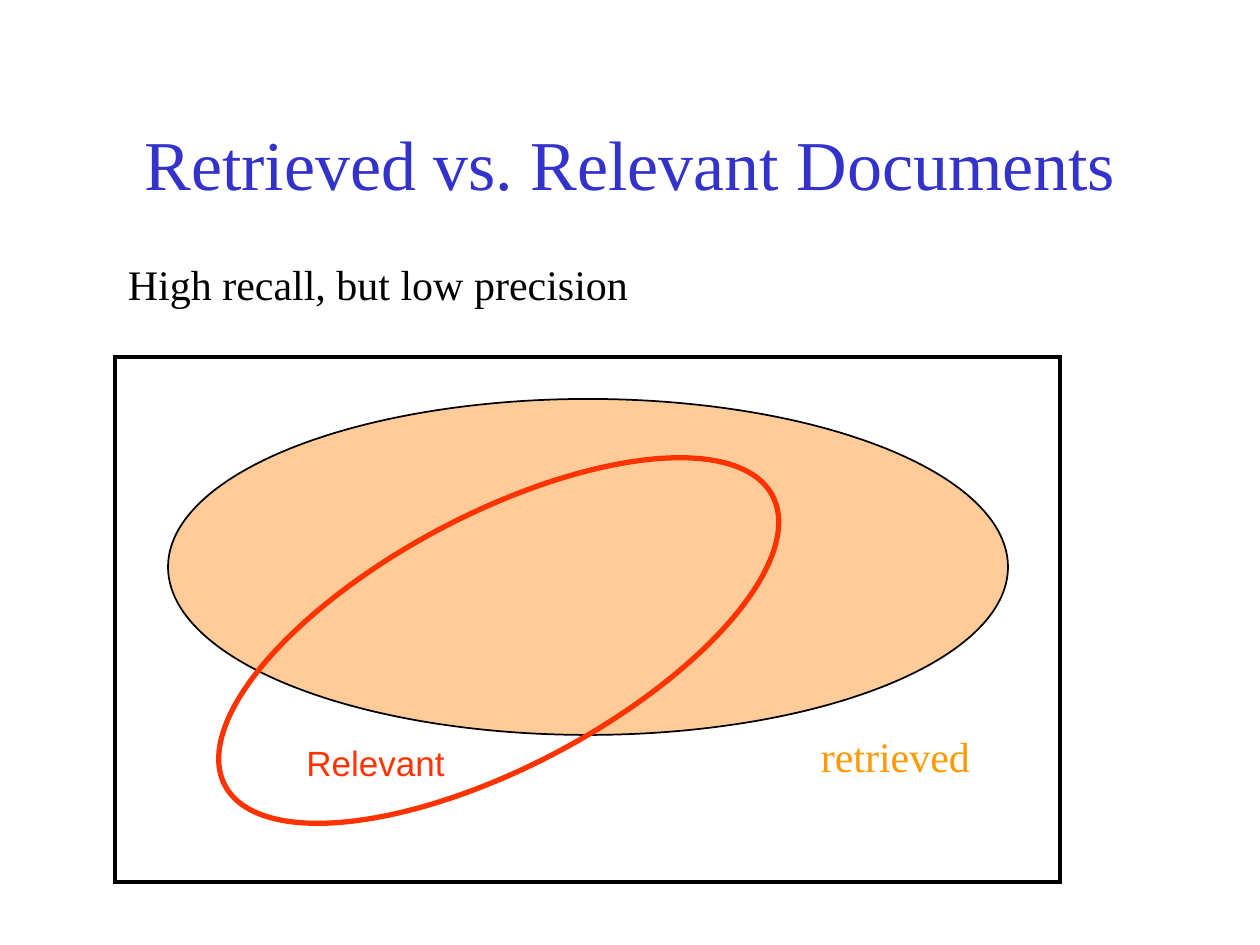
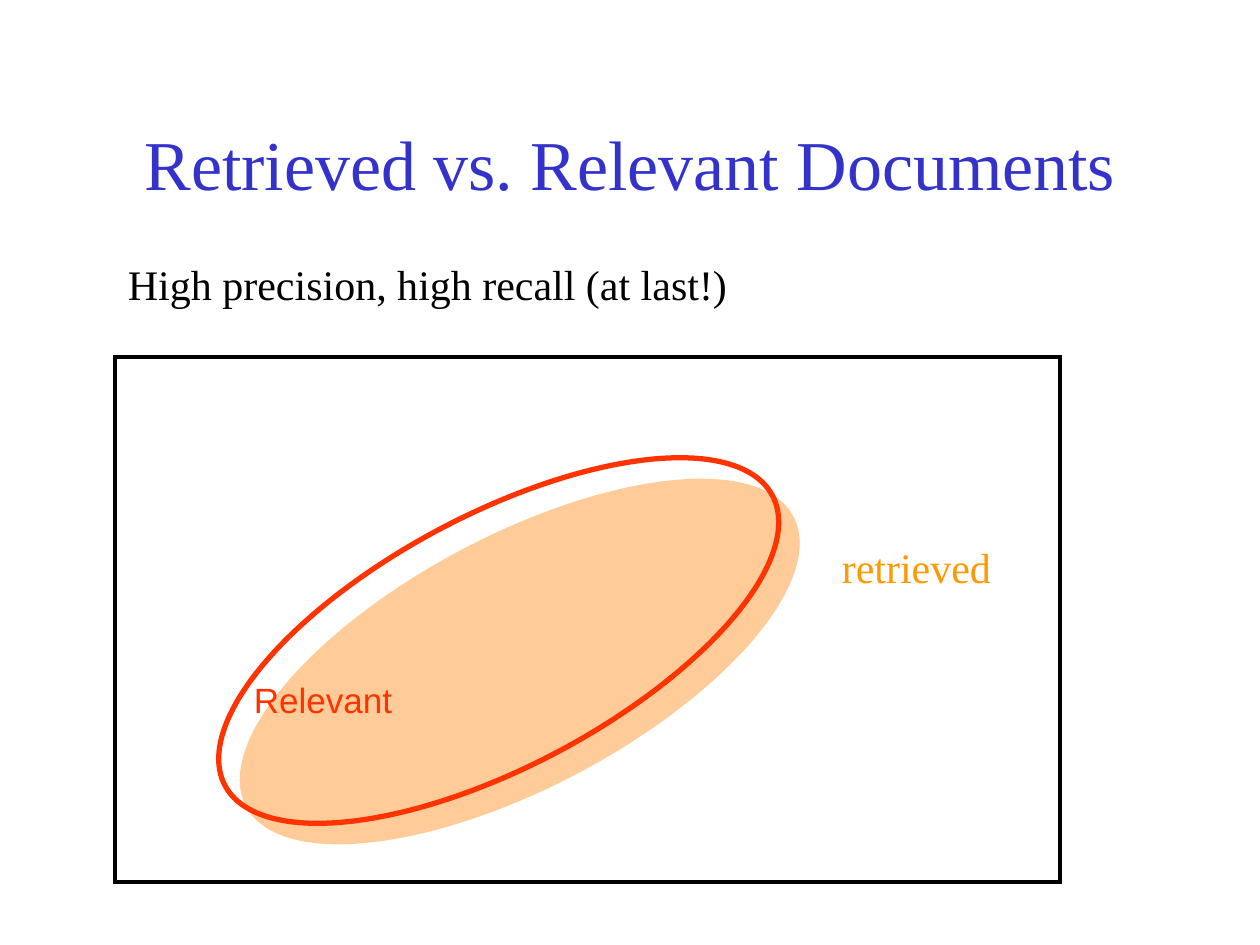
from dataclasses import dataclass
from typing import Optional

from lxml import etree
from pptx import Presentation
from pptx import util as u
from pptx.dml.color import RGBColor
from pptx.enum import shapes, text
from pptx.oxml import ns

# Colours and fonts
BLUE = RGBColor(0x33, 0x33, 0xCC)
BLACK = RGBColor(0x00, 0x00, 0x00)
RED = RGBColor(0xFF, 0x33, 0x00)
ORANGE = RGBColor(0xFF, 0x99, 0x00)
PEACH = RGBColor(0xFF, 0xCC, 0x99)
SERIF = "Times New Roman"
SANS = "Arial"


@dataclass(frozen=True)
class Box:
    left: float
    top: float
    width: float
    height: float

    def lengths(self) -> list[u.Pt]:
        return [u.Pt(n) for n in (self.left, self.top, self.width, self.height)]


@dataclass(frozen=True)
class Outline:
    kind: shapes.MSO_SHAPE
    box: Box
    fill: Optional[RGBColor] = None
    line: Optional[RGBColor] = None
    weight: float = 0
    rotation: float = 0


@dataclass(frozen=True)
class TextStyle:
    font: str
    size: float
    color: RGBColor


@dataclass(frozen=True)
class Example:
    caption: str
    caption_width: float
    retrieved: Outline
    relevant_label: Box
    retrieved_label: Box


# Parts shared by both slides
TITLE = "Retrieved vs. Relevant Documents"
TITLE_BOX = Box(54, 48, 612, 90)
TITLE_STYLE = TextStyle(SERIF, 40, BLUE)
CAPTION_STYLE = TextStyle(SERIF, 24, BLACK)
RELEVANT_STYLE = TextStyle(SANS, 20, RED)
RETRIEVED_STYLE = TextStyle(SERIF, 24, ORANGE)
OVAL = shapes.MSO_SHAPE.OVAL
TILT = 332.1
COLLECTION = Outline(shapes.MSO_SHAPE.RECTANGLE, Box(66, 204, 540, 300),
                     line=BLACK, weight=2.25)
RELEVANT = Outline(OVAL, Box(108, 294, 354, 144), line=RED, weight=3, rotation=TILT)

EXAMPLES = [
    Example("High recall, but low precision", 302,
            Outline(OVAL, Box(96, 228, 480, 192), PEACH, BLACK, 1),
            Box(168, 420, 95, 31.5), Box(462, 414, 102, 36)),
    Example("High precision, high recall (at last!)", 359,
            Outline(OVAL, Box(120, 306, 354, 144), PEACH, rotation=TILT),
            Box(138, 384, 95, 31.5), Box(474, 306, 102, 36)),
]


def add_outline(slide, outline: Outline) -> None:
    shape = slide.shapes.add_shape(outline.kind, *outline.box.lengths())
    shape.shadow.inherit = False
    shape.rotation = outline.rotation
    for part, color in ((shape.fill, outline.fill), (shape.line.fill, outline.line)):
        if color is None:
            part.background()
        else:
            part.solid()
            part.fore_color.rgb = color
    if outline.line is not None:
        shape.line.width = u.Pt(outline.weight)
        # Sharp corners
        line = shape.element.spPr.find(ns.qn("a:ln"))
        etree.SubElement(line, ns.qn("a:miter"), lim="800000")


def add_text(slide, words: str, box: Box, style: TextStyle, **frame_format) -> None:
    frame = slide.shapes.add_textbox(*box.lengths()).text_frame
    label_format = {"word_wrap": False,
                    "auto_size": text.MSO_AUTO_SIZE.SHAPE_TO_FIT_TEXT}
    for name, value in (label_format | frame_format).items():
        setattr(frame, name, value)
    run = frame.paragraphs[0].add_run()
    run.text = words
    for name, value in {"name": style.font, "size": u.Pt(style.size)}.items():
        setattr(run.font, name, value)
    run.font.color.rgb = style.color
    # Only wrapped text is centred: the title
    if frame.word_wrap:
        frame.paragraphs[0].alignment = text.PP_ALIGN.CENTER


def add_example(presentation, example: Example) -> None:
    slide = presentation.slides.add_slide(presentation.slide_layouts[6])
    # Title and caption
    add_text(slide, TITLE, TITLE_BOX, TITLE_STYLE, word_wrap=True,
             auto_size=text.MSO_AUTO_SIZE.NONE,
             vertical_anchor=text.MSO_ANCHOR.MIDDLE)
    add_text(slide, example.caption, Box(66, 144, example.caption_width, 36),
             CAPTION_STYLE)
    # Set diagram
    for outline in (example.retrieved, COLLECTION, RELEVANT):
        add_outline(slide, outline)
    add_text(slide, "Relevant", example.relevant_label, RELEVANT_STYLE)
    add_text(slide, "retrieved", example.retrieved_label, RETRIEVED_STYLE)


def main() -> None:
    presentation = Presentation()
    presentation.slide_width, presentation.slide_height = u.Pt(720), u.Pt(540)
    for example in EXAMPLES:
        add_example(presentation, example)
    presentation.save("out.pptx")


if __name__ == "__main__":
    main()
